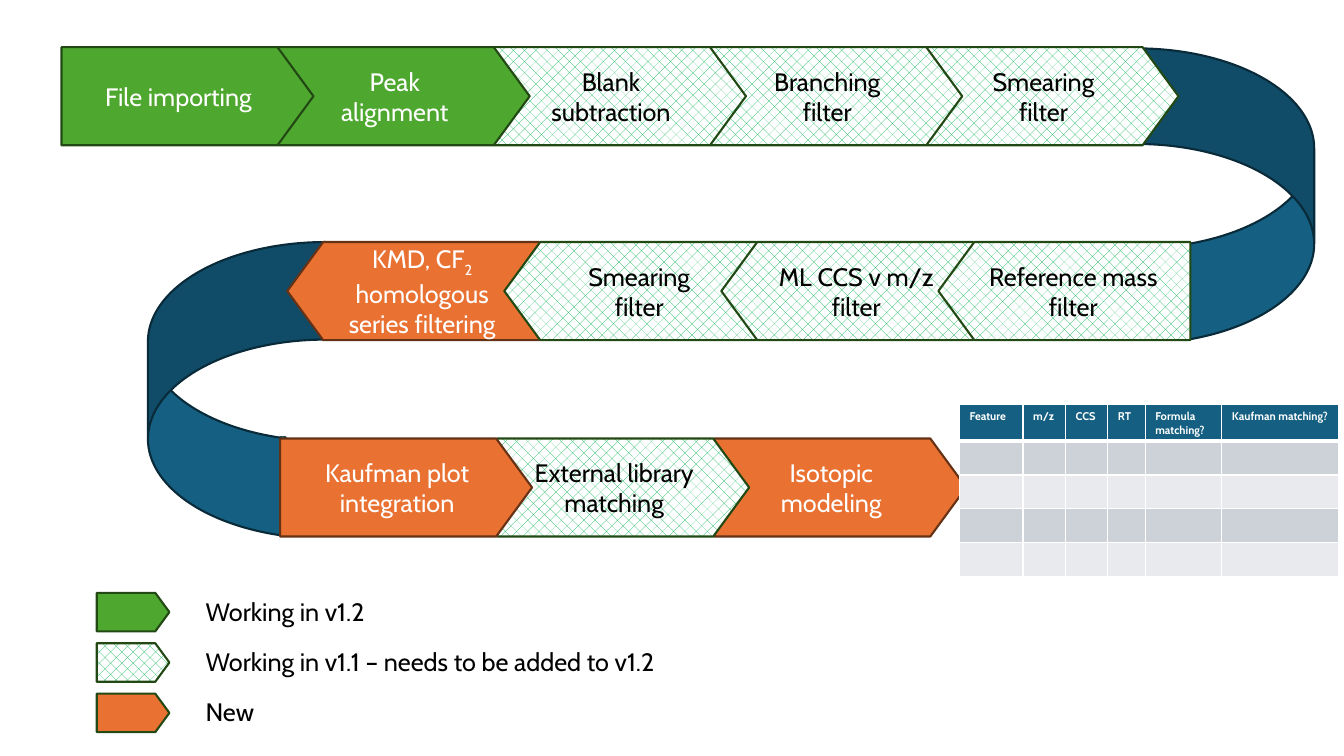
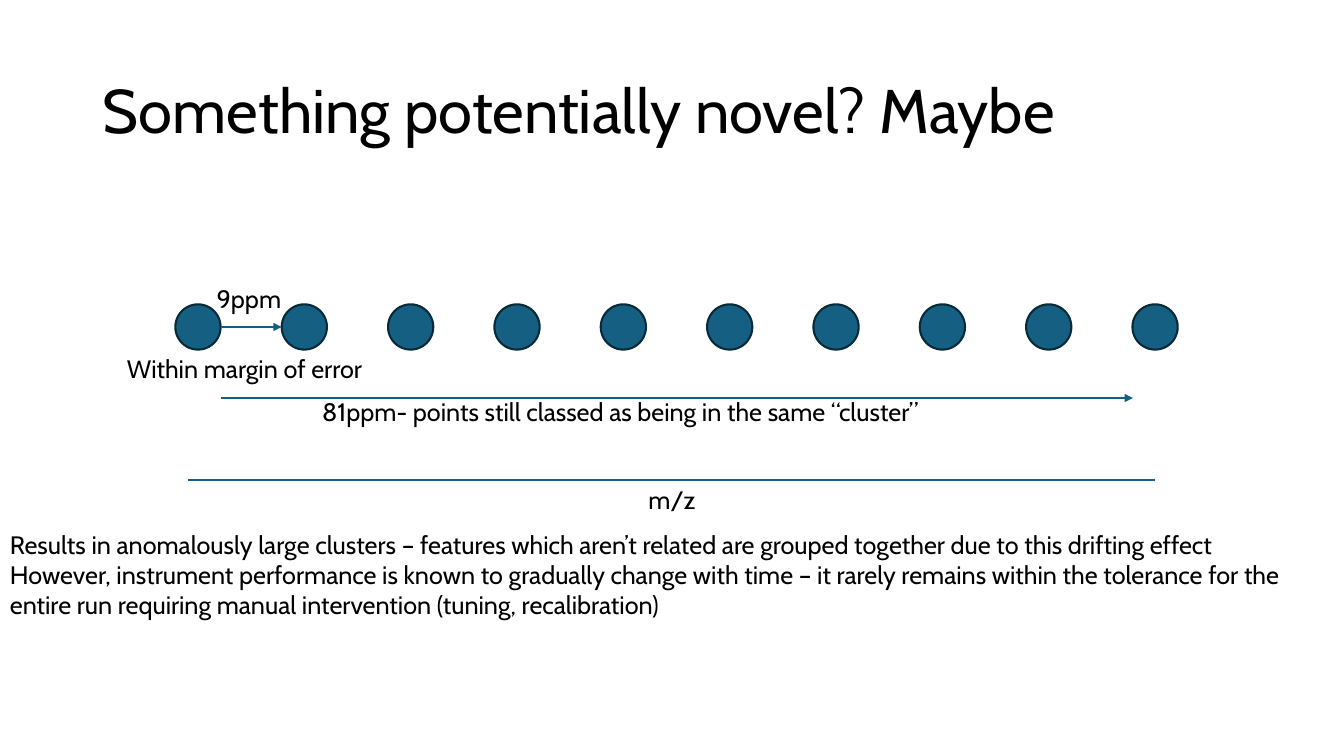
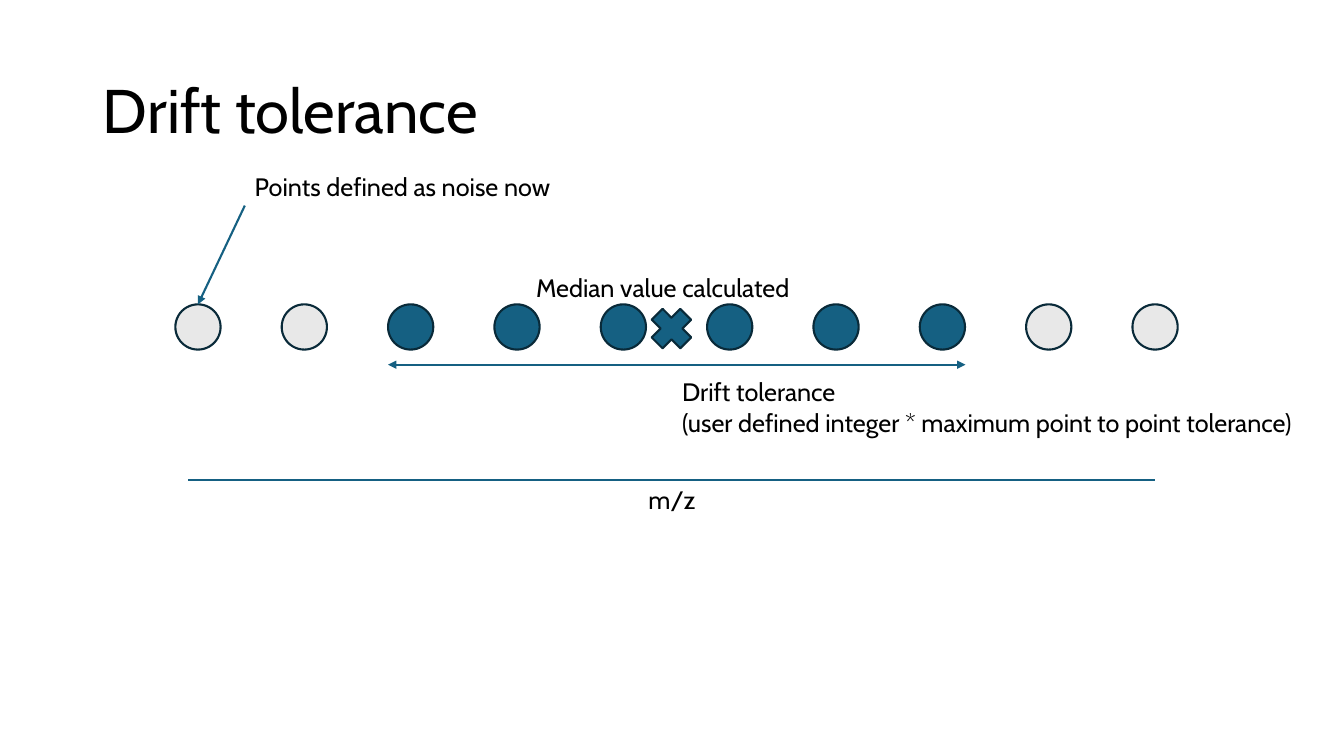
import pptx
import pptx.dml.color
import pptx.enum.dml
import pptx.enum.shapes
import pptx.enum.text
import pptx.oxml.ns
import pptx.util
from lxml import etree

Cm = pptx.util.Cm
Pt = pptx.util.Pt
qn = pptx.oxml.ns.qn
RGBColor = pptx.dml.color.RGBColor
PRESET = pptx.enum.shapes.MSO_SHAPE
ALIGN = pptx.enum.text.PP_ALIGN
ANCHOR = pptx.enum.text.MSO_ANCHOR
AUTO_SIZE = pptx.enum.text.MSO_AUTO_SIZE

FONT = "Cabin"
BLACK = RGBColor(0x00, 0x00, 0x00)
WHITE = RGBColor(0xFF, 0xFF, 0xFF)
BLUE = RGBColor(0x15, 0x60, 0x82)
NAVY = RGBColor(0x09, 0x2A, 0x39)
GREEN = RGBColor(0x4E, 0xA7, 0x2E)
HATCH_GREEN = RGBColor(0x00, 0xB0, 0x50)
DARK_GREEN = RGBColor(0x22, 0x49, 0x14)
ORANGE = RGBColor(0xE9, 0x71, 0x32)
DARK_ORANGE = RGBColor(0x66, 0x32, 0x16)
GREY = RGBColor(0xE8, 0xE8, 0xE8)
BAND_DARK = RGBColor(0xCC, 0xD2, 0xD8)
BAND_LIGHT = RGBColor(0xE8, 0xEA, 0xED)
HATCH = "hatch"

# status: fill, outline, text colour
STATUS = {
    "working": (GREEN, DARK_GREEN, WHITE),
    "port": (HATCH, DARK_GREEN, BLACK),
    "new": (ORANGE, DARK_ORANGE, WHITE),
}


def add_block(slide, preset, box, fill, outline=None, adjust=()):
    block = slide.shapes.add_shape(preset, *(Cm(v) for v in box))
    block.shadow.inherit = False
    if fill == HATCH:
        block.fill.patterned()
        block.fill.pattern = pptx.enum.dml.MSO_PATTERN.PERCENT_25
        block.fill.fore_color.rgb = HATCH_GREEN
        block.fill.back_color.rgb = WHITE
    else:
        block.fill.solid()
        block.fill.fore_color.rgb = fill
    if outline is None:
        block.line.fill.background()
    else:
        block.line.color.rgb = outline
        block.line.width = Pt(1.5)
    for i, value in enumerate(adjust):
        block.adjustments[i] = value
    return block


def write(frame, text, color=BLACK, size=18, bold=False, align=ALIGN.LEFT):
    """Fill a text frame, one paragraph a line; text between underscores is subscript."""
    frame.word_wrap = True
    for i, line in enumerate(text.split("\n")):
        paragraph = frame.paragraphs[0] if i == 0 else frame.add_paragraph()
        paragraph.alignment = align
        for j, piece in enumerate(line.split("_")):
            run = paragraph.add_run()
            run.text = piece
            look = {"name": FONT, "size": Pt(size), "bold": bold}
            for attribute, value in look.items():
                setattr(run.font, attribute, value)
            run.font.color.rgb = color
            if j % 2:
                run.font._element.set("baseline", "-25000")


deck = pptx.Presentation()
deck.slide_width = Cm(33.87)
deck.slide_height = Cm(19.05)
title_layout = deck.slide_layouts[5]
blank_layout = deck.slide_layouts[6]

layout_title = title_layout.placeholders[0]
title_box = {"left": 2.34, "top": 1.02, "width": 29.21, "height": 3.68}
for attribute, value in title_box.items():
    setattr(layout_title, attribute, Cm(value))

# Slide 1: processing workflow
workflow = deck.slides.add_slide(blank_layout)

for left, top, bend, mirrored in [(28.65, 1.22, 0.539, False), (3.73, 6.1, 0.55, True)]:
    turn = add_block(workflow, PRESET.CURVED_LEFT_ARROW, (left, top, 4.47, 7.62),
                     BLUE, NAVY, (bend, 0.617, 0.25))
    if mirrored:
        turn._element.spPr.xfrm.set("flipH", "1")

# White patches hide the heads of the curved arrows
for left, top in [(28.65, 5.49), (28.68, 8.56), (7.04, 10.41), (7.04, 13.51)]:
    add_block(workflow, PRESET.RECTANGLE, (left, top, 1.19, 0.58), WHITE)

# first left, top, step, steps in process order
step_rows = [
    (1.55, 1.19, 5.45, [
        ("File importing", "working"),
        ("Peak\nalignment", "working"),
        ("Blank\nsubtraction", "port"),
        ("Branching\nfilter", "port"),
        ("Smearing\nfilter", "port"),
    ]),
    (23.65, 6.1, -5.47, [
        ("Reference mass filter", "port"),
        ("ML CCS v m/z\nfilter", "port"),
        ("Smearing\nfilter", "port"),
        ("KMD, CF_2_ homologous\nseries filtering", "new"),
    ]),
    (7.06, 11.05, 5.47, [
        ("Kaufman plot integration", "new"),
        ("External library matching", "port"),
        ("Isotopic\nmodeling", "new"),
    ]),
]
for first_left, top, pitch, steps in step_rows:
    # Later steps lie behind earlier ones
    for i, (label, status) in reversed(list(enumerate(steps))):
        fill, outline, color = STATUS[status]
        step = add_block(workflow, PRESET.PENTAGON, (first_left + i * pitch, top, 6.35, 2.47),
                         fill, outline, (0.366,))
        if pitch < 0:
            step._element.spPr.xfrm.set("flipH", "1")
        step.text_frame.vertical_anchor = ANCHOR.MIDDLE
        write(step.text_frame, label, color, align=ALIGN.CENTER)

legend = [
    ("working", "Working in v1.2"),
    ("port", "Working in v1.1 – needs to be added to v1.2"),
    ("new", "New"),
]
for i, (status, meaning) in enumerate(legend):
    top = 14.94 + i * 1.27
    add_block(workflow, PRESET.PENTAGON, (2.44, top, 1.83, 0.97),
              STATUS[status][0], DARK_GREEN, (0.366,))
    caption = workflow.shapes.add_textbox(Cm(4.93), Cm(top - 0.05), Cm(19.61), Cm(1.02))
    write(caption.text_frame, meaning)

headings = ["Feature", "m/z", "CCS", "RT", "Formula matching?", "Kaufman matching?"]
column_widths = [1.6, 1.07, 1.07, 0.94, 1.93, 2.95]
row_count = 5
features = workflow.shapes.add_table(
    row_count, len(headings), Cm(24.18), Cm(10.19),
    Cm(sum(column_widths)), Cm(0.85 * row_count)).table
features.horz_banding = False
for column, width in zip(features.columns, column_widths):
    column.width = Cm(width)
for r in range(row_count):
    features.rows[r].height = Cm(0.85)
    for c, heading in enumerate(headings):
        cell = features.cell(r, c)
        for side in ("lnL", "lnR", "lnT", "lnB"):
            thick = (r, side) in [(0, "lnB"), (1, "lnT")]
            border = etree.SubElement(cell._tc.get_or_add_tcPr(), qn("a:" + side),
                                      w=str(Pt(3 if thick else 1)))
            paint = etree.SubElement(border, qn("a:solidFill"))
            etree.SubElement(paint, qn("a:srgbClr"), val=str(WHITE))
        cell.fill.solid()
        if r == 0:
            cell.fill.fore_color.rgb = BLUE
            write(cell.text_frame, heading, WHITE, 8, True)
        else:
            cell.fill.fore_color.rgb = BAND_DARK if r % 2 else BAND_LIGHT
            etree.SubElement(cell.text_frame.paragraphs[0]._p, qn("a:endParaRPr"), sz="800")

# Slides 2 and 3: points along the m/z axis
POINT_LEFT, POINT_TOP, POINT_SIZE, POINT_PITCH = 4.42, 7.67, 1.14, 2.68
POINT_COUNT = 10
AXIS = (4.75, 12.09, 29.11, 12.09)

# arrows: from x, from y, to x, to y; captions: left, top, width, height, text
drift_slides = [
    {
        "title": "Something potentially novel? Maybe",
        "noise": (),
        "arrows": [(5.56, 8.24, 7.1, 8.24), (5.56, 10.03, 28.55, 10.03)],
        "captions": [
            (5.21, 7.01, 2.24, 1.02, "9ppm"),
            (2.95, 8.79, 6.83, 1.02, "Within margin of error"),
            (7.87, 9.86, 17.35, 1.02,
             "81ppm- points still classed as being in the same “cluster”"),
            (0, 13.21, 33.87, 2.57,
             "Results in anomalously large clusters – features which aren’t related "
             "are grouped together due to this drifting effect\n"
             "However, instrument performance is known to gradually change with time – "
             "it rarely remains within the tolerance for the entire run requiring "
             "manual intervention (tuning, recalibration)"),
        ],
    },
    {
        "title": "Drift tolerance",
        "noise": (0, 1, 8, 9),
        "arrows": [(16.93, 9.19, 24.33, 9.19), (16.93, 9.19, 9.78, 9.19),
                   (6.17, 5.18, 4.99, 7.67)],
        "captions": [
            (13.26, 6.73, 8.38, 1.02, "Median value calculated"),
            (16.94, 9.37, 16.13, 1.8,
             "Drift tolerance\n(user defined integer * maximum point to point tolerance)"),
            (6.17, 4.19, 10.31, 1.02, "Points defined as noise now"),
        ],
    },
]
for content in drift_slides:
    slide = deck.slides.add_slide(title_layout)
    title = slide.shapes.title.text_frame
    title.vertical_anchor = ANCHOR.MIDDLE
    title.auto_size = AUTO_SIZE.NONE
    write(title, content["title"], size=44)
    title.paragraphs[0].line_spacing = 0.9

    points = []
    for i in range(POINT_COUNT):
        box = (POINT_LEFT + i * POINT_PITCH, POINT_TOP, POINT_SIZE, POINT_SIZE)
        fill = GREY if i in content["noise"] else BLUE
        points.append(add_block(slide, PRESET.OVAL, box, fill, NAVY))

    for ends in [AXIS] + content["arrows"]:
        line = slide.shapes.add_connector(
            pptx.enum.shapes.MSO_CONNECTOR.STRAIGHT, *(Cm(v) for v in ends))
        line.line.color.rgb = BLUE
        line.line.width = Pt(1.5)
        if ends != AXIS:
            etree.SubElement(line.line._get_or_add_ln(), qn("a:tailEnd"), type="triangle")
        etree.SubElement(line._element.spPr, qn("a:effectLst"))
        if ends[3] == POINT_TOP:
            line.end_connect(points[0], 0)

    axis_name = slide.shapes.add_textbox(Cm(14), Cm(AXIS[1]), Cm(5.87), Cm(1.02))
    write(axis_name.text_frame, "m/z", align=ALIGN.CENTER)
    for *box, text in content["captions"]:
        caption = slide.shapes.add_textbox(*(Cm(v) for v in box))
        write(caption.text_frame, text)

    if content["noise"]:
        median = add_block(slide, PRESET.CROSS, (16.41, 7.77, 1.02, 1.02), BLUE, NAVY, (0.31,))
        median.rotation = 45

deck.save("out.pptx")
